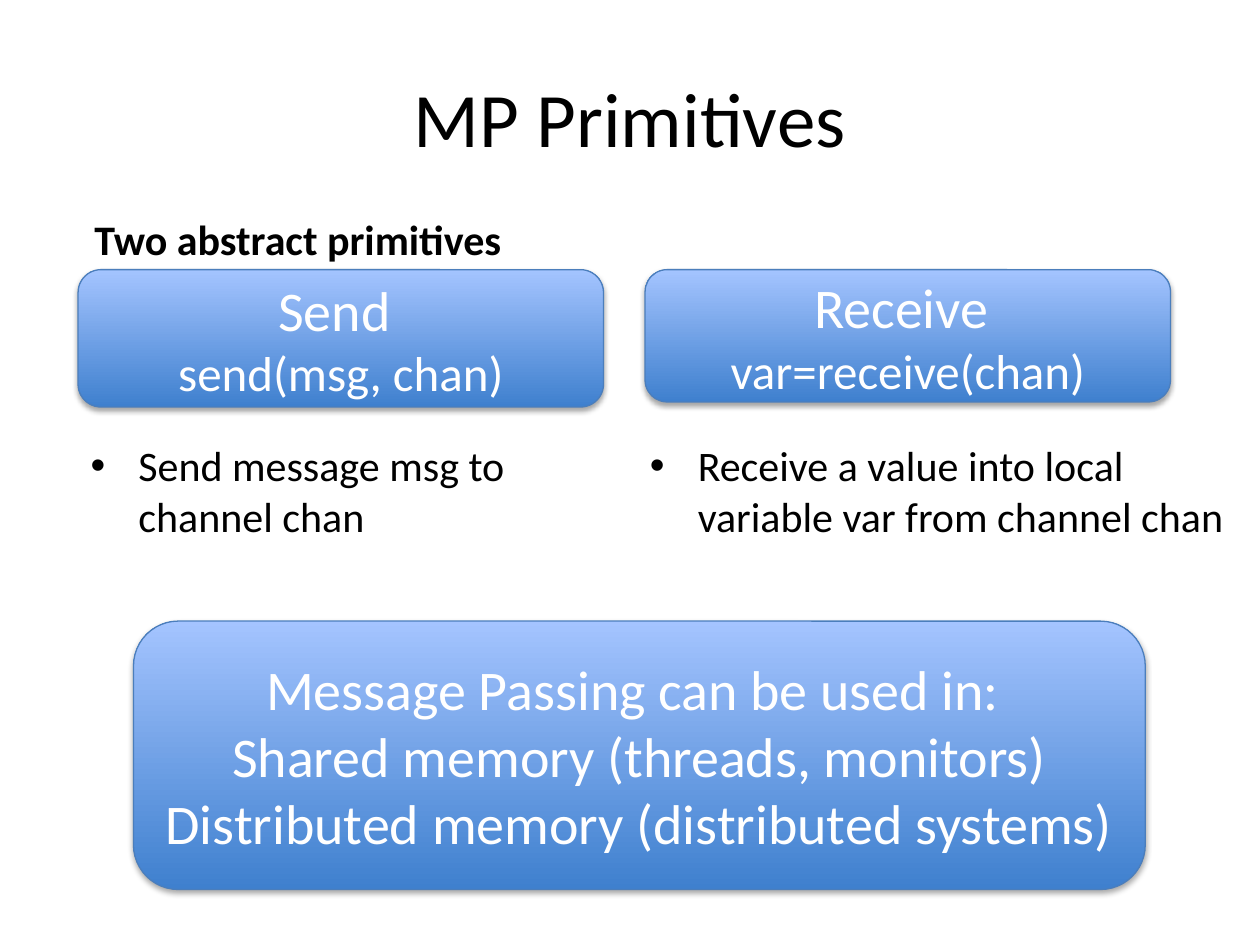
import pptx
import pptx.util
import pptx.dml.color
import pptx.enum.shapes
import pptx.enum.text
import pptx.oxml
import pptx.oxml.ns

Inches, Pt = pptx.util.Inches, pptx.util.Pt
ALIGN = pptx.enum.text.PP_ALIGN
ANCHOR = pptx.enum.text.MSO_ANCHOR

THEME = {
    "font": "Calibri",
    "dark": "000000", "light": "FFFFFF", "edge": "4B7EBC",
    "gradient": ("3F80CE", "A4C4FF"),
    "title": 44, "large": 32, "call": 28, "body": 24,
}

# Content: each place is left, top, width, height in inches
TITLE = ("MP Primitives", (0.5, 0.3, 9, 1.25))
HEADING = ("Two abstract primitives", (0.65, 1.44, 9, 0.7))
BULLETS = [
    ("Send message msg to channel chan", (0.62, 3.44, 4.42, 0.94)),
    ("Receive a value into local variable var from channel chan", (5.06, 3.44, 4.94, 0.94)),
]
PANELS = [
    ([("Send ", "large"), ("send(msg, chan)", "call")], (0.62, 2.14, 4.17, 1.09)),
    ([("Receive ", "large"), ("var=receive(chan)", "call")], (5.12, 2.14, 4.17, 1.05)),
    ([("Message Passing can be used in: ", "large"),
      ("Shared memory (threads, monitors) Distributed memory (distributed systems)", "large")],
     (1.06, 4.93, 8.03, 2.13)),
]


def color(name):
    return pptx.dml.color.RGBColor.from_string(name)


def write(shape, lines, ink, anchor, align=ALIGN.LEFT, bold=False):
    """Fill a shape with (text, size name) lines and return its paragraphs."""
    frame = shape.text_frame
    frame.word_wrap = True
    frame.vertical_anchor = anchor
    frame.text = "\n".join(text for text, _ in lines)
    for para, (_, size) in zip(frame.paragraphs, lines):
        para.alignment = align
        para.font.name = THEME["font"]
        para.font.size = Pt(THEME[size])
        para.font.bold = bold
        para.font.color.rgb = color(THEME[ink])
    return frame.paragraphs


def add_text(slide, text, place, size, anchor, **style):
    box = slide.shapes.add_textbox(*map(Inches, place))
    return write(box, [(text, size)], "dark", anchor, **style)[0]


def add_bullet(para):
    props = para._p.get_or_add_pPr()
    indent = Inches(0.38)
    props.set("marL", str(indent))
    props.set("indent", str(-indent))
    namespace = pptx.oxml.ns.nsdecls("a")
    props.append(pptx.oxml.parse_xml(f'<a:buFont {namespace} typeface="Arial"/>'))
    props.append(pptx.oxml.parse_xml(f'<a:buChar {namespace} char="•"/>'))


def add_shadow(shape):
    shape.shadow.inherit = False
    effects = shape._element.spPr.find(pptx.oxml.ns.qn("a:effectLst"))
    effects.append(pptx.oxml.parse_xml(
        f'<a:outerShdw {pptx.oxml.ns.nsdecls("a")} blurRad="{Pt(3.1)}" dist="{Pt(1.8)}"'
        ' dir="5400000" rotWithShape="0"><a:srgbClr val="000000">'
        '<a:alpha val="35000"/></a:srgbClr></a:outerShdw>'))


def add_panel(slide, lines, place):
    panel = slide.shapes.add_shape(
        pptx.enum.shapes.MSO_SHAPE.ROUNDED_RECTANGLE, *map(Inches, place))
    panel.fill.gradient()
    panel.fill.gradient_angle = 90
    for position, (stop, name) in enumerate(zip(panel.fill.gradient_stops, THEME["gradient"])):
        stop.position = position
        stop.color.rgb = color(name)
    panel.line.color.rgb = color(THEME["edge"])
    panel.line.width = Pt(0.75)
    add_shadow(panel)
    write(panel, lines, "light", ANCHOR.MIDDLE, ALIGN.CENTER)


def main():
    deck = pptx.Presentation()
    deck.slide_width, deck.slide_height = Inches(10), Inches(7.5)
    slide = deck.slides.add_slide(deck.slide_layouts[6])

    # Title and heading
    add_text(slide, *TITLE, "title", ANCHOR.MIDDLE, align=ALIGN.CENTER)
    add_text(slide, *HEADING, "body", ANCHOR.BOTTOM, bold=True)

    # Explanations under each primitive
    for text, place in BULLETS:
        para = add_text(slide, text, place, "body", ANCHOR.TOP)
        para.space_before = Pt(0.2 * THEME["body"])
        add_bullet(para)

    # Gradient panels
    for lines, place in PANELS:
        add_panel(slide, lines, place)

    deck.save("out.pptx")


if __name__ == "__main__":
    main()
